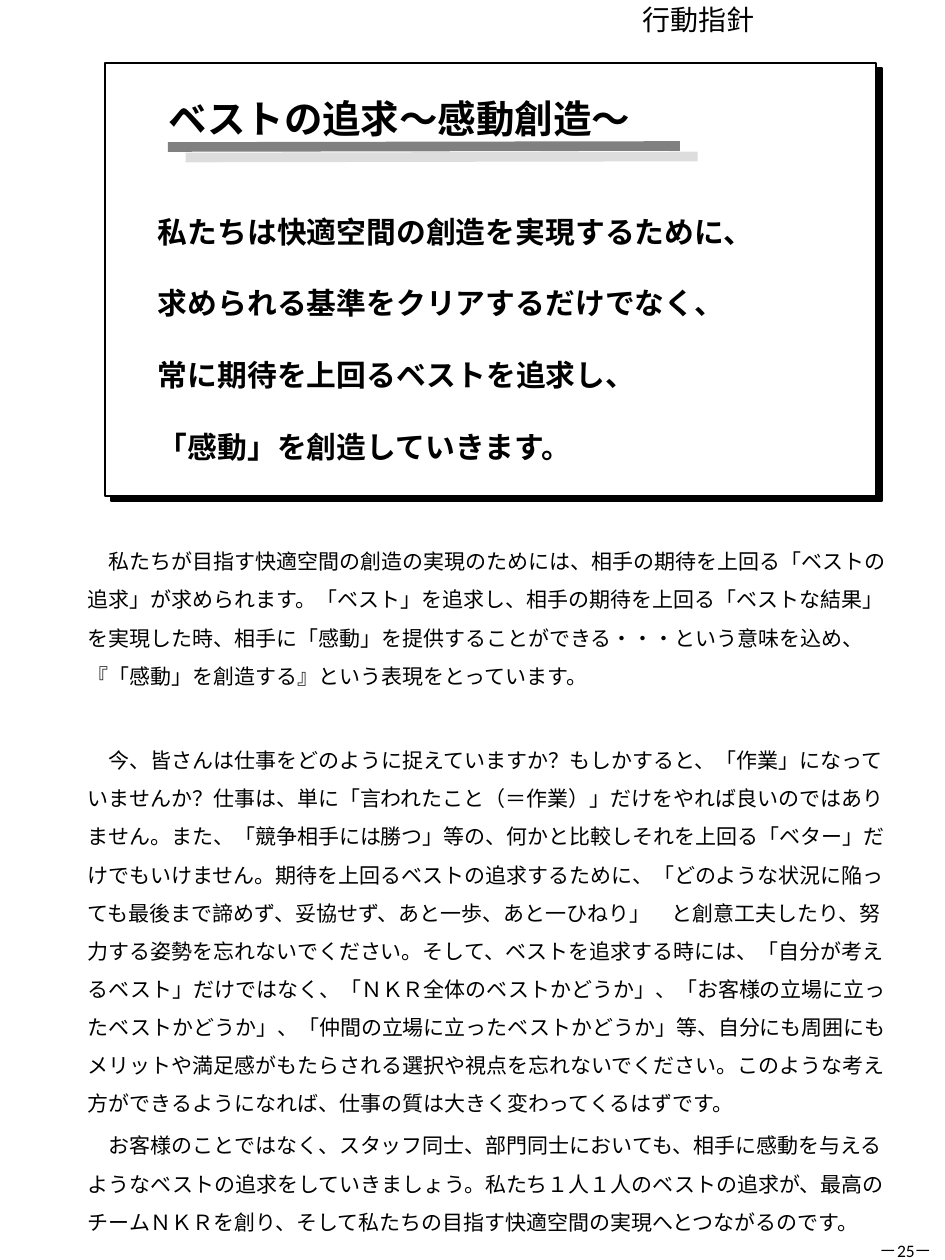
from lxml.etree import SubElement
from pptx import Presentation
from pptx.dml.color import RGBColor
from pptx.enum.shapes import MSO_CONNECTOR, MSO_SHAPE
from pptx.enum.text import MSO_ANCHOR, MSO_AUTO_SIZE, PP_ALIGN
from pptx.oxml.ns import qn
from pptx.util import Emu, Pt

SCALE = 914400 / 126
WIDTH, HEIGHT = 945, 1260
BLACK = RGBColor(0, 0, 0)
WHITE = RGBColor(255, 255, 255)
GREY = RGBColor(0x80, 0x80, 0x80)
PALE = RGBColor(0xDD, 0xDD, 0xDD)
SANS = "Noto Sans CJK JP"
LEAD = 1.21  # height of a single line, in ems

TITLE = "ベストの追求～感動創造～"
CREED = [
    "私たちは快適空間の創造を実現するために、",
    "求められる基準をクリアするだけでなく、",
    "常に期待を上回るベストを追求し、",
    "「感動」を創造していきます。",
]
ESSAY = [
    "　私たちが目指す快適空間の創造の実現のためには、相手の期待を上回る「ベストの"
    "追求」が求められます。「ベスト」を追求し、相手の期待を上回る「ベストな結果」"
    "を実現した時、相手に「感動」を提供することができる・・・という意味を込め、"
    "『「感動」を創造する』という表現をとっています。",
    "　今、皆さんは仕事をどのように捉えていますか？もしかすると、「作業」になって"
    "いませんか？仕事は、単に「言われたこと（＝作業）」だけをやれば良いのではあり"
    "ません。また、「競争相手には勝つ」等の、何かと比較しそれを上回る「ベター」だ"
    "けでもいけません。期待を上回るベストの追求するために、「どのような状況に陥っ"
    "ても最後まで諦めず、妥協せず、あと一歩、あと一ひねり」　と創意工夫したり、努"
    "力する姿勢を忘れないでください。そして、ベストを追求する時には、「自分が考え"
    "るベスト」だけではなく、「ＮＫＲ全体のベストかどうか」、「お客様の立場に立っ"
    "たベストかどうか」、「仲間の立場に立ったベストかどうか」等、自分にも周囲にも"
    "メリットや満足感がもたらされる選択や視点を忘れないでください。このような考え"
    "方ができるようになれば、仕事の質は大きく変わってくるはずです。",
    "　お客様のことではなく、スタッフ同士、部門同士においても、相手に感動を与える"
    "ようなベストの追求をしていきましょう。私たち１人１人のベストの追求が、最高の"
    "チームＮＫＲを創り、そして私たちの目指す快適空間の実現へとつながるのです。",
]


def px(n):
    return Emu(round(n * SCALE))


class Page:
    """Holds the text style and the slide being drawn."""

    def __init__(self, slide, font, color):
        self.slide, self.font, self.color = slide, font, color

    def typeset(self, shape, lines, size, bold=False, font=None, inset=0, wrap=True,
                ratio=1, gap=0, align=PP_ALIGN.LEFT):
        """Fill a shape with paragraphs; gap is the space before each, in ems."""
        frame = shape.text_frame
        form = {"word_wrap": wrap, "auto_size": MSO_AUTO_SIZE.NONE,
                "vertical_anchor": MSO_ANCHOR.TOP,
                "margin_left": px(2 * inset), "margin_right": px(2 * inset),
                "margin_top": px(inset), "margin_bottom": px(inset)}
        for key, val in form.items():
            setattr(frame, key, val)
        for i, line in enumerate(lines):
            para = frame.add_paragraph() if i else frame.paragraphs[0]
            form = {"alignment": align, "line_spacing": Pt(size * LEAD * ratio),
                    "space_before": Pt(size * gap if i else 0), "space_after": Pt(0)}
            for key, val in form.items():
                setattr(para, key, val)
            run = para.add_run()
            run.text = line
            form = {"size": Pt(size), "bold": bold, "name": font or self.font}
            for key, val in form.items():
                setattr(run.font, key, val)
            run.font.color.rgb = self.color
            SubElement(run.font._element, qn("a:ea"), typeface=self.font)
        return frame

    def hold(self, index, left, top, width, height, lines, **style):
        """Move a placeholder to the front and fill it, without bullets."""
        shape = self.slide.placeholders[index]
        self.slide.shapes._spTree.append(shape._element)
        form = {"left": left, "top": top, "width": width, "height": height}
        for key, val in form.items():
            setattr(shape, key, px(val))
        for para in self.typeset(shape, lines, **style).paragraphs:
            props = para._p.get_or_add_pPr()
            props.set("marL", "0")
            props.set("indent", "0")
            SubElement(props, qn("a:buNone"))

    def text(self, left, top, width, height, lines, **style):
        box = self.slide.shapes.add_textbox(*map(px, (left, top, width, height)))
        return self.typeset(box, lines, **style)

    def rect(self, left, top, width, height, fill):
        shape = self.slide.shapes.add_shape(
            MSO_SHAPE.RECTANGLE, *map(px, (left, top, width, height)))
        shape.shadow.inherit = False
        shape.fill.solid()
        shape.fill.fore_color.rgb = fill
        shape.line.color.rgb = self.color
        shape.line.width = Pt(0.75)

    def rule(self, start, end, color, width, shade):
        """Draw a line with a hard shadow, down and to the right."""
        line = self.slide.shapes.add_connector(
            MSO_CONNECTOR.STRAIGHT, *map(px, start + end))
        line.line.color.rgb = color
        line.line.width = Pt(width)
        effect = SubElement(line._element.spPr, qn("a:effectLst"))
        cast = SubElement(effect, qn("a:outerShdw"), blurRad="0", dist=str(Pt(11.7)),
                          dir=str(31 * 60000), algn="ctr", rotWithShape="0")
        SubElement(cast, qn("a:srgbClr"), val=str(shade))


def main():
    deck = Presentation()
    deck.slide_width, deck.slide_height = px(WIDTH), px(HEIGHT)
    page = Page(deck.slides.add_slide(deck.slide_layouts[1]), SANS, BLACK)

    for left, top, fill in ((111, 68, BLACK), (105, 63, WHITE)):
        page.rect(left, top, 771, 433, fill)
    page.hold(0, 168, 95, 466, 47, [TITLE], size=22, bold=True, wrap=False)
    page.hold(1, 158, 195, 651, 276, CREED, size=17, bold=True, ratio=1.5, gap=0.6)
    page.rule((168, 147), (680, 146), GREY, 5.5, PALE)

    essay = page.text(76, 530, 833, 673, ESSAY, size=12, inset=6, ratio=1.5, gap=0.2)
    essay.paragraphs[1].space_before = Pt(12 * (LEAD * 1.5 + 0.4))
    page.text(631, -4, 311, 47, ["行動指針"], size=16, inset=6, align=PP_ALIGN.JUSTIFY)
    page.text(869, 1240, 74, 21, ["－25－"], size=10, font="Calibri",
              align=PP_ALIGN.CENTER)
    deck.save("out.pptx")


if __name__ == "__main__":
    main()
